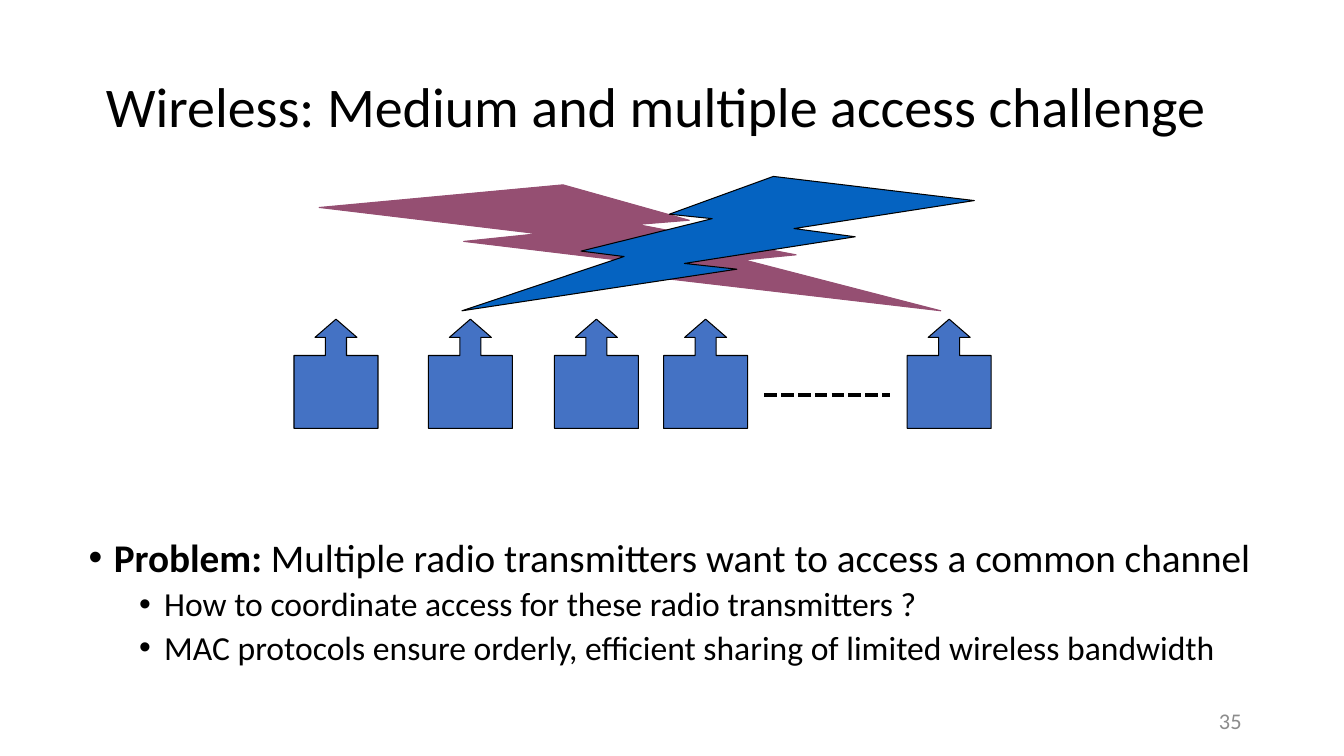
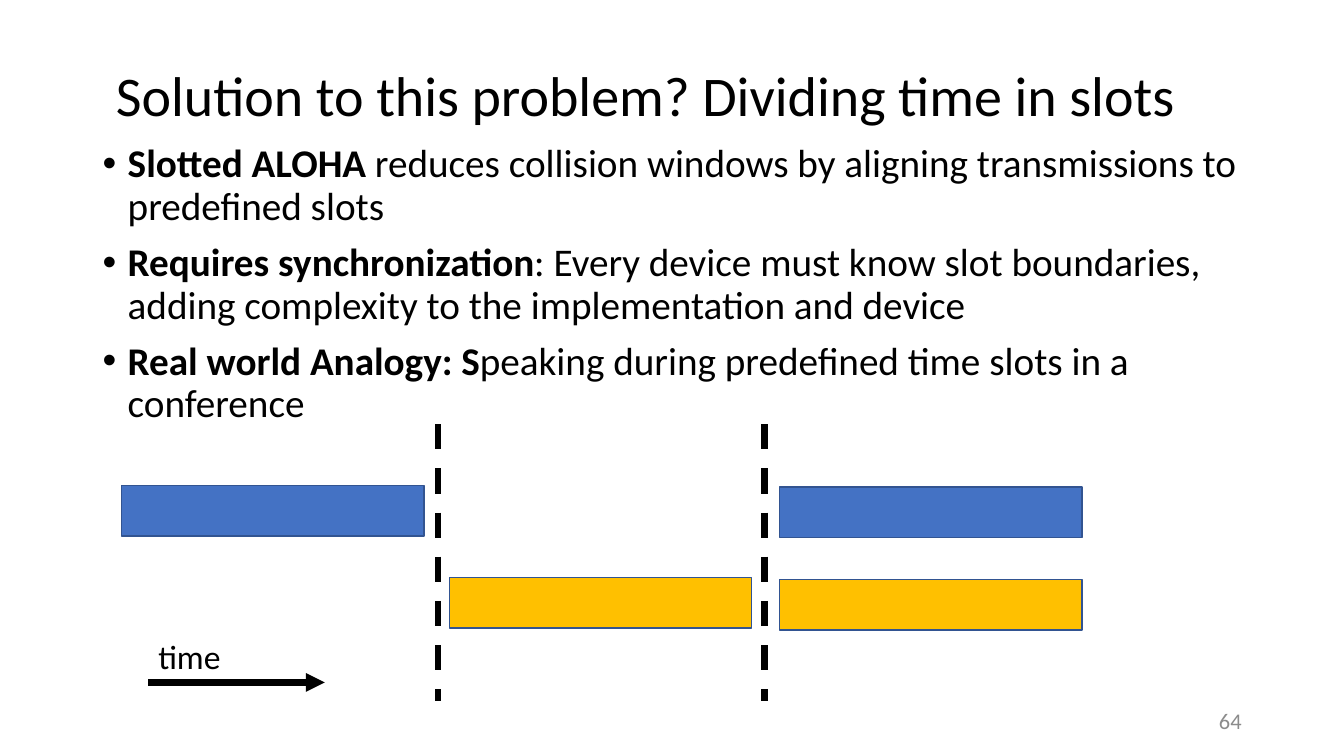
from lxml import etree
from pptx import Presentation
from pptx.dml.color import RGBColor
from pptx.enum.dml import MSO_LINE
from pptx.enum.shapes import MSO_CONNECTOR, MSO_SHAPE
from pptx.enum.text import MSO_ANCHOR, PP_ALIGN
from pptx.oxml.ns import qn
from pptx.util import Pt

LEFT, RIGHT = PP_ALIGN.LEFT, PP_ALIGN.RIGHT
TOP, MIDDLE = MSO_ANCHOR.TOP, MSO_ANCHOR.MIDDLE
RECTANGLE, BOLT = MSO_SHAPE.RECTANGLE, MSO_SHAPE.LIGHTNING_BOLT
TRANSMITTER = MSO_SHAPE.UP_ARROW_CALLOUT
DASH, DOTS = MSO_LINE.DASH, MSO_LINE.SQUARE_DOT

FONT = "Calibri"
COLORS = {
    "text": "000000", "number": "8C8C8C", "blue": "4472C4", "slot_edge": "325491",
    "amber": "FFC000", "plum": "954F72", "signal": "0563C1",
}
TITLE_ONLY = 5
TITLE_SIZE = (828, 104.4)
NUMBER_BOX = (678, 500.4, 216, 28.8)
# size, left indent and space before for each bullet level
LEVELS = [(28, 18, 10), (24, 54, 5)]
BULLET_HANG = 18

# Each bullet: level, bold lead, remaining text
ACCESS = {
    "title": "Wireless: Medium and multiple access challenge",
    "title_at": (68.4, 26),
    "number": "35",
    "body_box": (56.2, 381, 863, 121),
    "bullets": [
        (0, "Problem: ", "Multiple radio transmitters want to access a common channel"),
        (1, "", "How to coordinate access for these radio transmitters ?"),
        (1, "", "MAC protocols ensure orderly, efficient sharing of limited wireless bandwidth"),
    ],
}
SLOTS = {
    "title": "Solution to this problem? Dividing time in slots",
    "title_at": (75.6, 18),
    "number": "64",
    "body_box": (66.2, 99.4, 828, 342.7),
    "bullets": [
        (0, "Slotted ALOHA",
         " reduces collision windows by aligning transmissions to predefined slots"),
        (0, "Requires synchronization",
         ": Every device must know slot boundaries, adding complexity to the "
         "implementation and device"),
        (0, "Real world Analogy: S",
         "peaking during predefined time slots in a conference"),
    ],
}

TRANSMITTER_LEFTS = [210, 306, 396, 474, 648]
TRANSMITTER_ADJUST = [0.25, 0.25, 0.217, 0.667]
# Box, fill, edge, mirrored
SIGNALS = [
    ((228, 132, 444, 90), "plum", "plum", False),
    ((330, 126, 366, 96), "signal", "text", True),
]
# Left, top, fill
TRANSMISSIONS = [
    (87, 347, "blue"), (321, 412.6, "amber"), (557, 414, "amber"), (557, 348, "blue"),
]
TRANSMISSION_SIZE = (216, 36)
SLOT_BOUNDARIES = [313, 546]


def rgb(name):
    return RGBColor.from_string(COLORS[name])


def style_text(paragraph, size, color="text", align=LEFT):
    paragraph.alignment = align
    font = paragraph.font
    font.name, font.size = FONT, Pt(size)
    font.color.rgb = rgb(color)


def add_text_frame(slide, box, anchor=TOP):
    frame = slide.shapes.add_textbox(*map(Pt, box)).text_frame
    frame.word_wrap = True
    frame.vertical_anchor = anchor
    return frame


def add_label(slide, box, text, size, color="text", align=LEFT, anchor=TOP):
    paragraph = add_text_frame(slide, box, anchor).paragraphs[0]
    paragraph.text = text
    style_text(paragraph, size, color, align)


def add_bullets(slide, box, bullets):
    frame = add_text_frame(slide, box)
    for index, (level, lead, rest) in enumerate(bullets):
        paragraph = frame.add_paragraph() if index else frame.paragraphs[0]
        size, indent, space = LEVELS[level]
        style_text(paragraph, size)
        paragraph.level = level
        paragraph.line_spacing = 0.9
        paragraph.space_before = Pt(space)
        if lead:
            run = paragraph.add_run()
            run.text, run.font.bold = lead, True
        paragraph.add_run().text = rest
        props = paragraph._p.get_or_add_pPr()
        props.set("marL", str(Pt(indent)))
        props.set("indent", str(-Pt(BULLET_HANG)))
        bullet_font = etree.Element(qn("a:buFont"), typeface="Arial")
        bullet = etree.Element(qn("a:buChar"), char="•")
        # Bullets must come before the default run properties
        defaults = props.find(qn("a:defRPr"))
        defaults.addprevious(bullet_font)
        defaults.addprevious(bullet)


def add_figure(slide, kind, box, fill, edge, width=0.75):
    figure = slide.shapes.add_shape(kind, *map(Pt, box))
    figure.shadow.inherit = False
    figure.fill.solid()
    figure.fill.fore_color.rgb = rgb(fill)
    figure.line.color.rgb = rgb(edge)
    figure.line.width = Pt(width)
    return figure


def add_line(slide, start, end, width, dash=None, arrow=False):
    connector = slide.shapes.add_connector(
        MSO_CONNECTOR.STRAIGHT, *map(Pt, start + end))
    line = connector.line
    line.color.rgb = rgb("text")
    line.width = Pt(width)
    if dash:
        line.dash_style = dash
    if arrow:
        etree.SubElement(line._get_or_add_ln(), qn("a:tailEnd"), type="triangle")
    etree.SubElement(connector._element.spPr, qn("a:effectLst"))


def add_slide(prs, content):
    """Add a slide with its title, bullets and slide number."""
    slide = prs.slides.add_slide(prs.slide_layouts[TITLE_ONLY])
    title = slide.shapes.title
    title.left, title.top = map(Pt, content["title_at"])
    title.width, title.height = map(Pt, TITLE_SIZE)
    title.text_frame.text = content["title"]
    title.text_frame.vertical_anchor = MIDDLE
    heading = title.text_frame.paragraphs[0]
    style_text(heading, 40)
    heading.line_spacing = 0.9
    add_bullets(slide, content["body_box"], content["bullets"])
    add_label(slide, NUMBER_BOX, content["number"], 16, "number", RIGHT, MIDDLE)
    return slide


def draw_shared_channel(slide):
    for left in TRANSMITTER_LEFTS:
        transmitter = add_figure(slide, TRANSMITTER, (left, 228, 60, 78), "blue", "text")
        for index, value in enumerate(TRANSMITTER_ADJUST):
            transmitter.adjustments[index] = value
    add_line(slide, (546, 282), (636, 282), 3, DOTS)
    for box, fill, edge, mirrored in SIGNALS:
        bolt = add_figure(slide, BOLT, box, fill, edge)
        if mirrored:
            bolt._element.spPr.find(qn("a:xfrm")).set("flipH", "1")


def draw_time_slots(slide):
    for left, top, fill in TRANSMISSIONS:
        add_figure(slide, RECTANGLE, (left, top, *TRANSMISSION_SIZE), fill, "slot_edge", 1)
    for x in SLOT_BOUNDARIES:
        add_line(slide, (x, 303), (x, 500.4), 4.5, DASH)
    add_line(slide, (106, 487.5), (232, 487.5), 4.5, arrow=True)
    add_label(slide, (106, 451, 103, 36), "time", 24)


def main():
    prs = Presentation()
    prs.slide_width, prs.slide_height = Pt(960), Pt(540)
    draw_shared_channel(add_slide(prs, ACCESS))
    draw_time_slots(add_slide(prs, SLOTS))
    prs.save("out.pptx")


if __name__ == "__main__":
    main()
